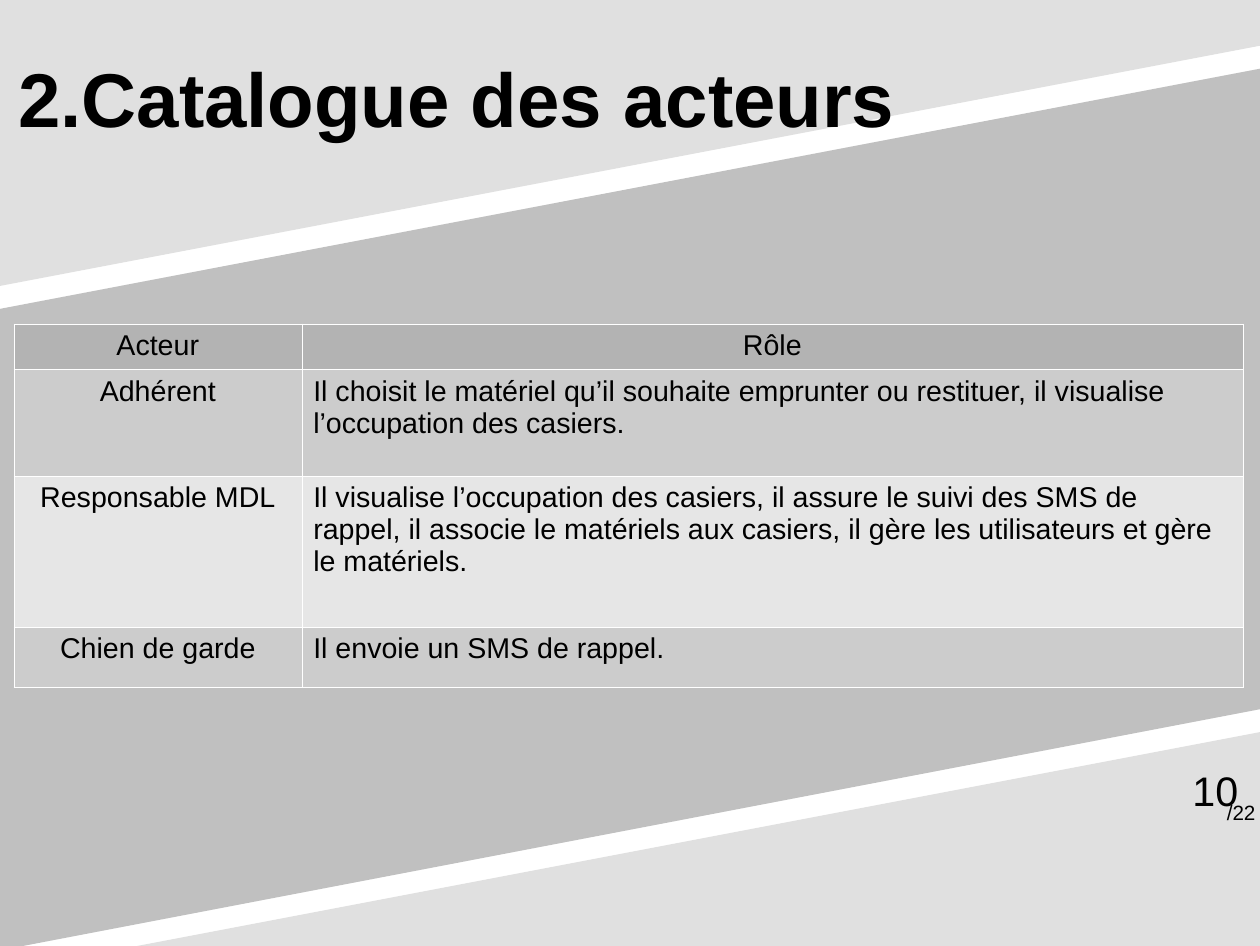
from dataclasses import dataclass

from lxml import etree
from pptx import Presentation
from pptx.dml.color import RGBColor
from pptx.enum.text import MSO_ANCHOR, PP_ALIGN
from pptx.oxml.ns import qn
from pptx.util import Inches, Pt

LEFT, CENTER, RIGHT = PP_ALIGN.LEFT, PP_ALIGN.CENTER, PP_ALIGN.RIGHT
TOP, MIDDLE = MSO_ANCHOR.TOP, MSO_ANCHOR.MIDDLE


@dataclass(frozen=True)
class Theme:
    """Colours, font and type sizes of the slide."""
    font: str = "Arial"
    ink: str = "000000"
    rule: str = "FFFFFF"
    corner: str = "E0E0E0"
    band: str = "C0C0C0"
    header: str = "B3B3B3"
    rows: tuple = ("CCCCCC", "E6E6E6")
    title: int = 48
    body: int = 18
    number: int = 26
    total: int = 13
    rule_width: float = 0.06


class SlideBuilder:
    """Draws on one slide, laid out as 100 columns by 100 rows."""

    def __init__(self, prs, theme):
        self.theme = theme
        self.col = prs.slide_width / 100
        self.row = prs.slide_height / 100
        self.slide = prs.slides.add_slide(prs.slide_layouts[6])

    def box(self, x, y, w, h):
        """Turn grid units into slide lengths."""
        return (round(x * self.col), round(y * self.row),
                round(w * self.col), round(h * self.row))

    def style(self, tf, size, align=LEFT, bold=False):
        """Format every run of a text frame."""
        for p in tf.paragraphs:
            p.alignment = align
            for r in p.runs:
                r.font.name = self.theme.font
                r.font.size = Pt(size)
                r.font.bold = bold
                r.font.color.rgb = RGBColor.from_string(self.theme.ink)

    def polygon(self, points, color):
        """Add a closed, borderless outline."""
        pts = [(round(x * self.col), round(y * self.row)) for x, y in points]
        fb = self.slide.shapes.build_freeform(*pts[0])
        fb.add_line_segments(pts[1:], close=True)
        sp = fb.convert_to_shape()
        sp.shadow.inherit = False
        sp.fill.solid()
        sp.fill.fore_color.rgb = RGBColor.from_string(color)
        sp.line.fill.background()

    def text(self, box, text, size, align=LEFT, anchor=TOP, bold=False):
        """Add a text box without margins."""
        tf = self.slide.shapes.add_textbox(*self.box(*box)).text_frame
        tf.margin_left = tf.margin_right = tf.margin_top = tf.margin_bottom = 0
        tf.word_wrap = True
        tf.vertical_anchor = anchor
        tf.text = text
        self.style(tf, size, align, bold)

    def borders(self, cell):
        """Rule all four sides of a cell."""
        tc_pr = cell._tc.get_or_add_tcPr()
        for i, side in enumerate(("lnL", "lnR", "lnT", "lnB")):
            ln = etree.Element(qn(f"a:{side}"), w=str(Pt(self.theme.rule_width)))
            fill = etree.SubElement(ln, qn("a:solidFill"))
            etree.SubElement(fill, qn("a:srgbClr"), val=self.theme.rule)
            tc_pr.insert(i, ln)

    def table(self, x, y, widths, heights, data):
        """Add a table with a header row and alternating row fills."""
        box = self.box(x, y, sum(widths), sum(heights))
        table = self.slide.shapes.add_table(len(data), len(widths), *box).table
        table.first_row = table.horz_banding = False
        for column, w in zip(table.columns, widths):
            column.width = round(w * self.col)
        for i, (row, h, texts) in enumerate(zip(table.rows, heights, data)):
            row.height = round(h * self.row)
            color = self.theme.rows[(i - 1) % 2] if i else self.theme.header
            for j, (cell, text) in enumerate(zip(row.cells, texts)):
                cell.text = text
                self.style(cell.text_frame, self.theme.body,
                           LEFT if i and j else CENTER)
                cell.fill.solid()
                cell.fill.fore_color.rgb = RGBColor.from_string(color)
                self.borders(cell)


ACTORS = [
    ("Acteur", "Rôle"),
    ("Adhérent", "Il choisit le matériel qu’il souhaite emprunter ou restituer, "
                 "il visualise l’occupation des casiers."),
    ("Responsable MDL", "Il visualise l’occupation des casiers, il assure le suivi "
                        "des SMS de rappel, il associe le matériels aux casiers, "
                        "il gère les utilisateurs et gère le matériels."),
    ("Chien de garde", "Il envoie un SMS de rappel."),
]


def main():
    """Build the slide and save it."""
    prs = Presentation()
    prs.slide_width, prs.slide_height = Inches(11.02), Inches(8.27)
    theme = Theme()
    s = SlideBuilder(prs, theme)

    s.polygon([(10.89, 100), (100, 100), (100, 77.39)], theme.corner)
    s.polygon([(0, 100), (1.81, 100), (100, 74.97), (100, 7.26), (0, 32.65)],
              theme.band)
    s.polygon([(0, 30.23), (0, 0), (100, 0), (100, 4.84)], theme.corner)

    s.text((1.45, 1.93, 90, 16.69), "2.Catalogue des acteurs", theme.title,
           anchor=MIDDLE, bold=True)
    s.table(1.09, 34.22, (22.87, 74.68), (4.84, 11.25, 15.96, 6.41), ACTORS)
    s.text((97.37, 84.52, 2.6, 2.5), "/22", theme.total)
    s.text((73.23, 80.89, 25.05, 6.89), "10", theme.number, RIGHT)

    prs.save("out.pptx")


main()
